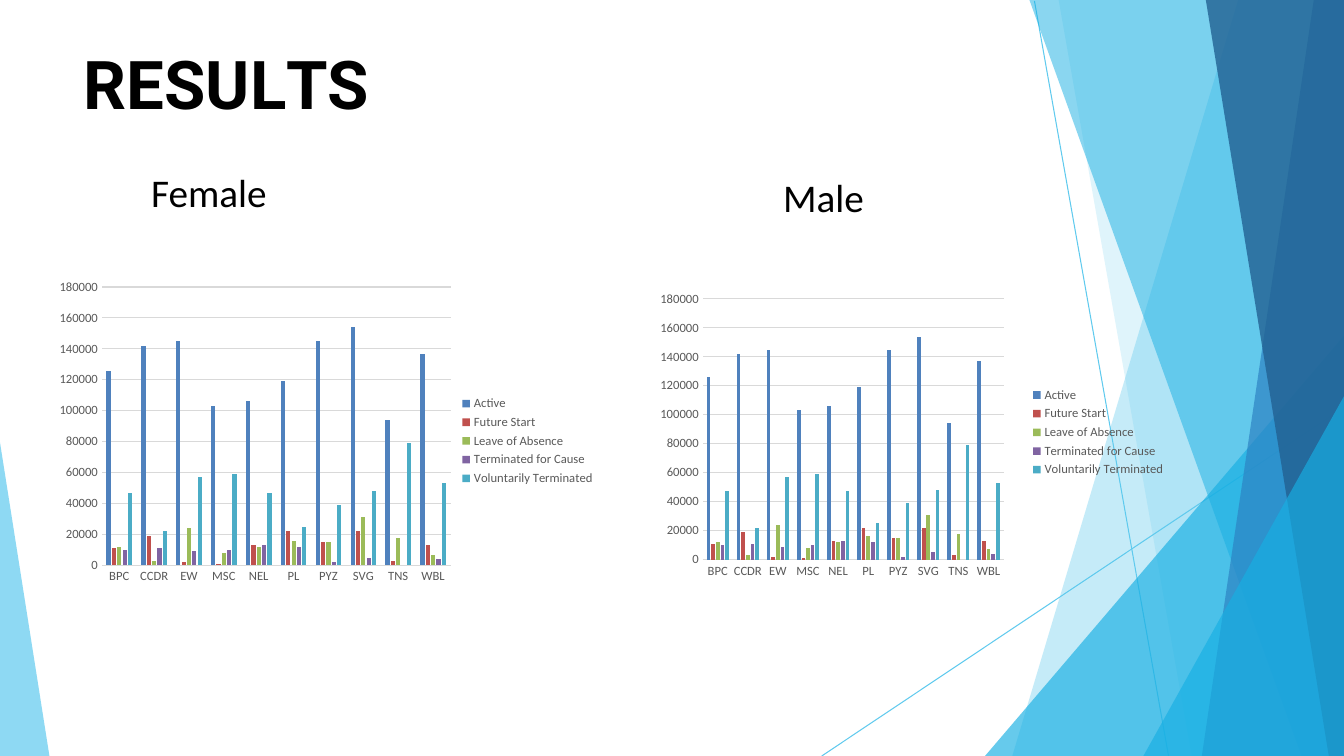
from lxml import etree
from pptx import Presentation
from pptx.chart.data import CategoryChartData
from pptx.dml.color import RGBColor
from pptx.enum.chart import XL_CHART_TYPE, XL_LEGEND_POSITION, XL_TICK_MARK
from pptx.enum.shapes import MSO_CONNECTOR
from pptx.enum.text import MSO_ANCHOR, MSO_AUTO_SIZE, PP_ALIGN
from pptx.oxml.ns import qn
from pptx.util import Inches, Pt

COLUMNS = XL_CHART_TYPE.COLUMN_CLUSTERED
LEGEND_RIGHT = XL_LEGEND_POSITION.RIGHT
NO_TICK = XL_TICK_MARK.NONE
STRAIGHT = MSO_CONNECTOR.STRAIGHT
TOP = MSO_ANCHOR.TOP
NO_FIT = MSO_AUTO_SIZE.NONE
LEFT = PP_ALIGN.LEFT

WIDTH, HEIGHT = 13.33, 7.5
BLACK, GREY, GRID, SKY = "000000", "595959", "D9D9D9", "5FCAEE"

RAYS = [((10.26, 0.01), (11.59, HEIGHT)), ((WIDTH, 4.04), (8.15, HEIGHT))]

# Colour, opacity in percent, corners
FACETS = [
    (SKY, 36, [(WIDTH, 0), (12.28, 0), (10.04, HEIGHT), (WIDTH, HEIGHT)]),
    (SKY, 20, [(WIDTH, 0), (10.5, 0), (11.82, HEIGHT), (WIDTH, HEIGHT)]),
    ("17AFE3", 66, [(WIDTH, 3.33), (9.77, HEIGHT), (WIDTH, HEIGHT)]),
    ("17AFE3", 50, [(WIDTH, 0), (10.21, 0), (12.91, HEIGHT), (WIDTH, HEIGHT)]),
    ("2D83C3", 70, [(WIDTH, 0), (13.03, 0), (11.92, HEIGHT), (WIDTH, HEIGHT)]),
    ("226192", 80, [(WIDTH, 0), (11.96, 0), (13.18, HEIGHT), (WIDTH, HEIGHT)]),
    ("17AFE3", 66, [(WIDTH, 3.93), (11.34, HEIGHT), (WIDTH, HEIGHT)]),
    (SKY, 70, [(0, 4.39), (0, HEIGHT), (0.49, HEIGHT)]),
]

# Title letters with their spacing in hundredths of a point
TITLE_LETTERS = [("R", 0), ("E", -40), ("S", 10), ("U", -30), ("L", -400), ("TS", 0)]

UNITS = ["BPC", "CCDR", "EW", "MSC", "NEL", "PL", "PYZ", "SVG", "TNS", "WBL"]
# Status, colour, values in thousands
STATUSES = [
    ("Active", "4F81BD", [126, 142, 145, 103, 106, 119, 145, 154, 94, 137]),
    ("Future Start", "C0504D", [11, 19, 2, 1, 13, 22, 15, 22, 3, 13]),
    ("Leave of Absence", "9BBB59", [12, 3, 24, 8, 12, 16, 15, 31, 18, 7]),
    ("Terminated for Cause", "8064A2", [10, 11, 9, 10, 13, 12, 2, 5, None, 4]),
    ("Voluntarily Terminated", "4BACC6", [47, 22, 57, 59, 47, 25, 39, 48, 79, 53]),
]


def rgb(color):
    return RGBColor.from_string(color)


def set_font(font, size, color, name="Calibri"):
    font.size, font.name = Pt(size), name
    font.color.rgb = rgb(color)


def set_line(line, color):
    line.color.rgb = rgb(color)
    line.width = Pt(0.75)


def add_ray(slide, start, end):
    ends = [Inches(value) for value in (*start, *end)]
    ray = slide.shapes.add_connector(STRAIGHT, *ends)
    set_line(ray.line, SKY)
    etree.SubElement(ray._element.spPr, qn("a:effectLst"))


def add_facet(slide, color, opacity, corners):
    points = [(Inches(x), Inches(y)) for x, y in corners]
    builder = slide.shapes.build_freeform(*points[0])
    builder.add_line_segments(points[1:], close=True)
    facet = builder.convert_to_shape()
    facet.shadow.inherit = False
    facet.line.fill.background()
    facet.fill.solid()
    facet.fill.fore_color.rgb = rgb(color)
    tint = facet._element.spPr.find(".//" + qn("a:srgbClr"))
    etree.SubElement(tint, qn("a:alpha"), val=str(opacity * 1000))


def place(holder, left, top, width, height):
    """Move a placeholder to its spot, in front of the backdrop."""
    holder.left, holder.top = Inches(left), Inches(top)
    holder.width, holder.height = Inches(width), Inches(height)
    frame = holder.text_frame
    frame.margin_left = frame.margin_right = frame.margin_top = frame.margin_bottom = 0
    frame.vertical_anchor = TOP
    frame.auto_size = NO_FIT
    frame.word_wrap = True
    frame.paragraphs[0].alignment = LEFT
    tree = holder._element.getparent()
    tree.append(holder._element)
    return frame.paragraphs[0]


def add_title(slide):
    heading = place(slide.shapes.title, 0.83, 0.42, 11.68, 0.83)
    set_font(heading.font, 48, BLACK, "Roboto")
    heading.font.bold = True
    for letters, spacing in TITLE_LETTERS:
        run = heading.add_run()
        run.text = letters
        run._r.get_or_add_rPr().set("spc", str(spacing))


def add_female_label(slide):
    label = place(slide.placeholders[1], 1.5, 1.67, 1.17, 0.47)
    label.text = "Female"
    label.space_before = Pt(0)
    set_font(label.font, 28, BLACK)
    properties = label._p.get_or_add_pPr()
    properties.set("marL", "0")
    properties.set("indent", "0")
    bullet = etree.Element(qn("a:buNone"))
    properties.find(qn("a:defRPr")).addprevious(bullet)


def add_male_label(slide):
    box = slide.shapes.add_textbox(Inches(7.67), Inches(1.67), Inches(1.83), Inches(0.47))
    box.text_frame.word_wrap = True
    label = box.text_frame.paragraphs[0]
    label.text = "Male"
    set_font(label.font, 28, BLACK)


def set_plot_area(chart, fractions):
    area = chart._chartSpace.find(".//" + qn("c:plotArea"))
    for automatic in area.findall(qn("c:layout")):
        area.remove(automatic)
    layout = etree.Element(qn("c:layout"))
    manual = etree.SubElement(layout, qn("c:manualLayout"))
    settings = [("layoutTarget", "inner"), ("xMode", "edge"), ("yMode", "edge")]
    for tag, value in settings + list(zip("xywh", fractions)):
        etree.SubElement(manual, qn("c:" + tag), val=str(value))
    area.insert(0, layout)


def add_status_chart(slide, left, top, width, height, plot_fractions):
    data = CategoryChartData(number_format="General")
    data.categories = UNITS
    for status, _, thousands in STATUSES:
        data.add_series(status, [n and n * 1000 for n in thousands])
    frame = slide.shapes.add_chart(
        COLUMNS, Inches(left), Inches(top), Inches(width), Inches(height), data)
    chart = frame.chart
    chart.has_title = False
    set_font(chart.font, 10, BLACK)
    set_plot_area(chart, plot_fractions)

    # Columns
    plot = chart.plots[0]
    plot.vary_by_categories = False
    plot.gap_width, plot.overlap = 219, -27
    for series, (_, color, _) in zip(plot.series, STATUSES):
        series.format.fill.solid()
        series.format.fill.fore_color.rgb = rgb(color)

    # Axes
    units, amounts = chart.category_axis, chart.value_axis
    for axis in (units, amounts):
        axis.major_tick_mark = axis.minor_tick_mark = NO_TICK
        set_font(axis.tick_labels.font, 9, GREY)
    set_line(units.format.line, GRID)
    amounts.format.line.fill.background()
    set_line(amounts.major_gridlines.format.line, GRID)
    amounts.minimum_scale, amounts.maximum_scale = 0, 180000
    amounts.major_unit = 20000

    # Legend
    chart.has_legend = True
    chart.legend.position = LEGEND_RIGHT
    chart.legend.include_in_layout = False
    set_font(chart.legend.font, 9, GREY)


def main():
    deck = Presentation()
    deck.slide_width, deck.slide_height = Inches(WIDTH), Inches(HEIGHT)
    slide = deck.slides.add_slide(deck.slide_layouts[1])

    # Backdrop
    for start, end in RAYS:
        add_ray(slide, start, end)
    for color, opacity, corners in FACETS:
        add_facet(slide, color, opacity, corners)

    # Content
    add_title(slide)
    add_status_chart(slide, 0.33, 2.75, 5.67, 3.25, (0.12, 0.03, 0.61, 0.85))
    add_female_label(slide)
    add_status_chart(slide, 6.33, 2.75, 5.33, 3.08, (0.12, 0.07, 0.56, 0.84))
    add_male_label(slide)

    deck.save("out.pptx")


if __name__ == "__main__":
    main()
